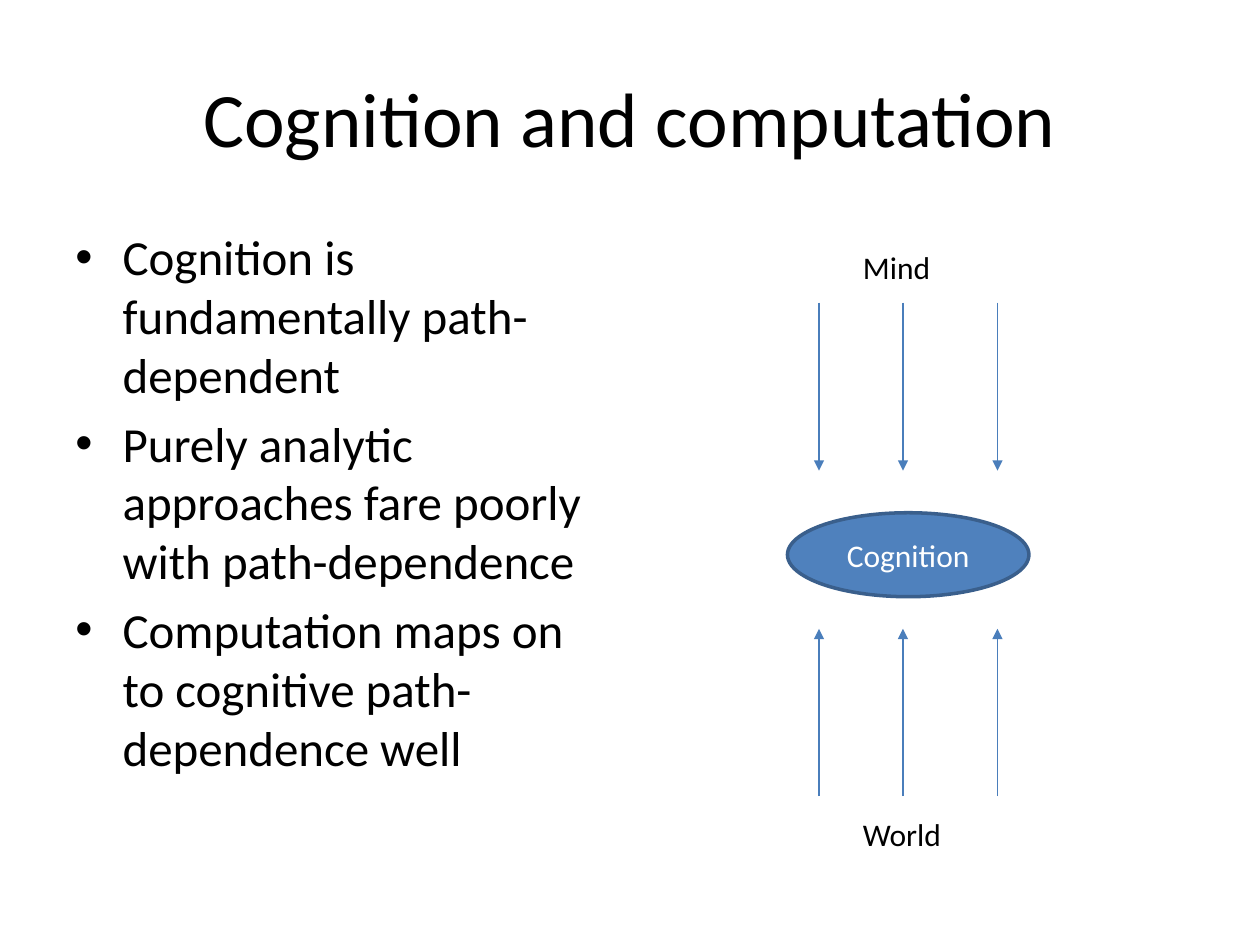
from dataclasses import dataclass

from lxml.etree import SubElement
from pptx import Presentation
from pptx.dml.color import RGBColor
from pptx.enum.shapes import MSO_CONNECTOR as Connector, MSO_SHAPE as Shape
from pptx.enum.text import MSO_ANCHOR as Anchor, PP_ALIGN as Align
from pptx.oxml.ns import qn
from pptx.util import Pt

FONT = "Calibri"
BLACK, WHITE = "000000", "FFFFFF"
BLUE, DARK_BLUE, ARROW_BLUE = "4F81BD", "3A5F8C", "4A7EBB"
BULLET_INDENT = 27


@dataclass
class Box:
    x: float
    y: float
    w: float
    h: float

    def lengths(self) -> list[Pt]:
        return [Pt(v) for v in (self.x, self.y, self.w, self.h)]


@dataclass
class Label:
    text: str
    box: Box


@dataclass
class ArrowRow:
    start_y: float
    end_y: float


POINTS = [
    "Cognition is fundamentally path-dependent",
    "Purely analytic approaches fare poorly with path-dependence",
    "Computation maps on to cognitive path-dependence well",
]
LABELS = [
    Label("Mind", Box(486, 138, 60, 29)),
    Label("World", Box(486, 462, 60, 29)),
]
ARROW_XS = [468, 516, 570]
ARROW_ROWS = [ArrowRow(455, 359.3), ArrowRow(173, 269)]


def color(hex_value: str) -> RGBColor:
    return RGBColor.from_string(hex_value)


def add_run(p, text: str, size: float, hex_value: str = BLACK) -> None:
    r = p.add_run()
    r.text = text
    r.font.name = FONT
    r.font.size = Pt(size)
    r.font.color.rgb = color(hex_value)


def add_text_frame(s, box: Box):
    tf = s.shapes.add_textbox(*box.lengths()).text_frame
    tf.word_wrap = True
    return tf


def add_title(s, text: str) -> None:
    tf = add_text_frame(s, Box(36, 21.6, 648, 90))
    tf.vertical_anchor = Anchor.MIDDLE
    p = tf.paragraphs[0]
    p.alignment = Align.CENTER
    add_run(p, text, 44)


def add_bullet(p) -> None:
    pPr = p._p.get_or_add_pPr()
    pPr.set("marL", str(Pt(BULLET_INDENT)))
    pPr.set("indent", str(-Pt(BULLET_INDENT)))
    SubElement(pPr, qn("a:buFont"), typeface="Arial")
    SubElement(pPr, qn("a:buChar"), char="•")


def add_points(s, points: list[str]) -> None:
    tf = add_text_frame(s, Box(36, 126, 318, 356.4))
    for i, text in enumerate(points):
        p = tf.add_paragraph() if i else tf.paragraphs[0]
        p.space_before = Pt(5.6)
        add_bullet(p)
        add_run(p, text, 28)


def add_label(s, label: Label) -> None:
    tf = add_text_frame(s, label.box)
    add_run(tf.paragraphs[0], label.text, 18)


def add_arrow(s, x: float, row: ArrowRow) -> None:
    line = s.shapes.add_connector(
        Connector.STRAIGHT, Pt(x), Pt(row.start_y), Pt(x), Pt(row.end_y))
    line.line.color.rgb = color(ARROW_BLUE)
    line.line.width = Pt(0.75)
    SubElement(line.line._get_or_add_ln(), qn("a:tailEnd"), type="triangle")
    SubElement(line._element.spPr, qn("a:effectLst"))


def add_ellipse(s, text: str, box: Box) -> None:
    sp = s.shapes.add_shape(Shape.OVAL, *box.lengths())
    sp.shadow.inherit = False
    sp.fill.solid()
    sp.fill.fore_color.rgb = color(BLUE)
    sp.line.color.rgb = color(DARK_BLUE)
    sp.line.width = Pt(2)
    tf = sp.text_frame
    tf.vertical_anchor = Anchor.MIDDLE
    p = tf.paragraphs[0]
    p.alignment = Align.CENTER
    add_run(p, text, 18, WHITE)


def main() -> None:
    prs = Presentation()
    prs.slide_width, prs.slide_height = Pt(720), Pt(540)
    s = prs.slides.add_slide(prs.slide_layouts[6])

    add_title(s, "Cognition and computation")
    add_points(s, POINTS)
    for row in ARROW_ROWS:
        for x in ARROW_XS:
            add_arrow(s, x, row)
    for label in LABELS:
        add_label(s, label)
    add_ellipse(s, "Cognition", Box(450, 293, 138, 48))

    prs.save("out.pptx")


if __name__ == "__main__":
    main()
